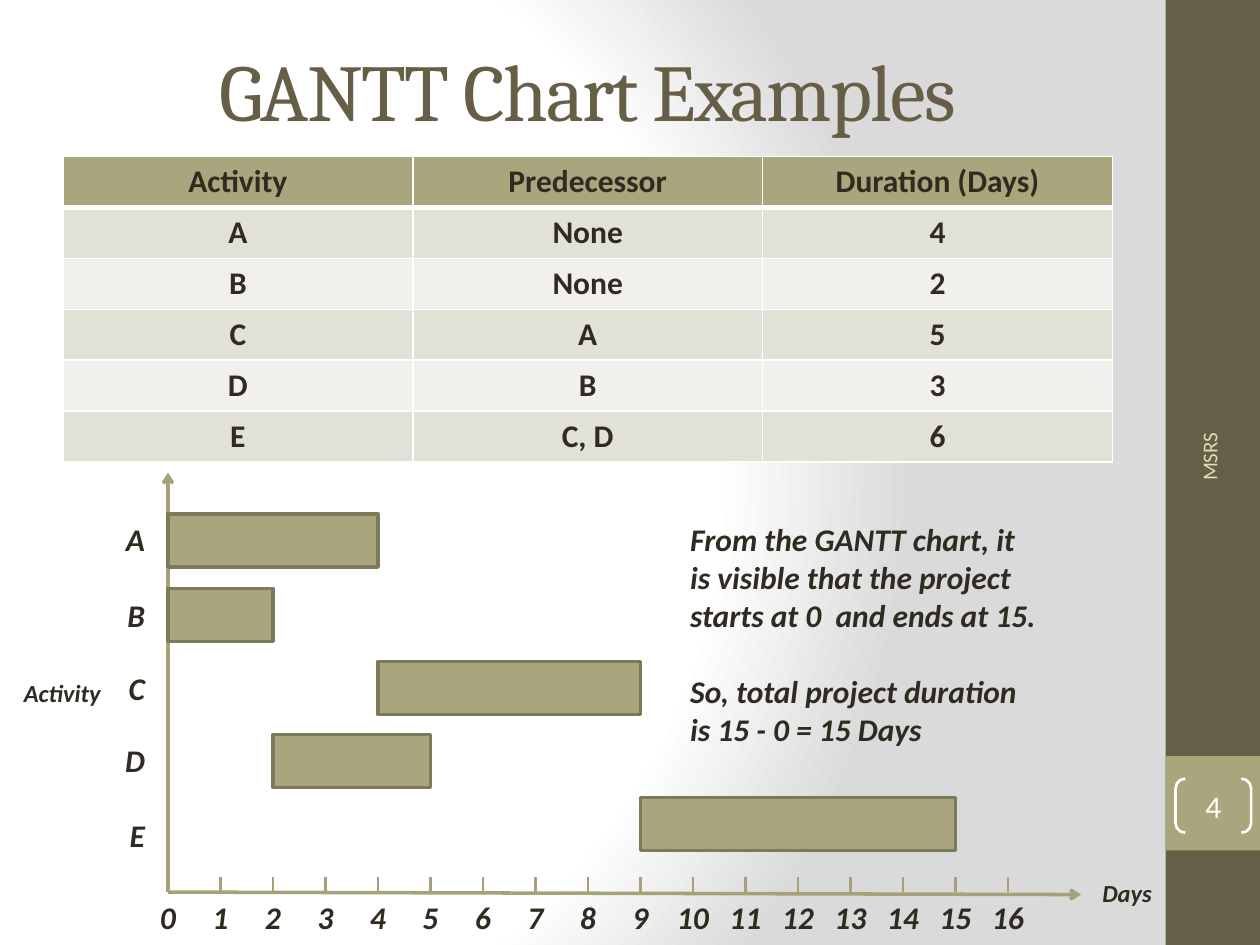
from dataclasses import dataclass

from lxml import etree
from pptx import Presentation
from pptx.dml.color import RGBColor
from pptx.enum.shapes import MSO_CONNECTOR, MSO_SHAPE
from pptx.enum.text import MSO_ANCHOR, PP_ALIGN
from pptx.oxml.ns import qn
from pptx.util import Inches, Pt

RECTANGLE, BRACKETS = MSO_SHAPE.RECTANGLE, MSO_SHAPE.DOUBLE_BRACKET
STRAIGHT = MSO_CONNECTOR.STRAIGHT
LEFT, CENTER, RIGHT = PP_ALIGN.LEFT, PP_ALIGN.CENTER, PP_ALIGN.RIGHT
TOP, MIDDLE = MSO_ANCHOR.TOP, MSO_ANCHOR.MIDDLE

BROWN, OLIVE, AXIS, BAR_EDGE = "675E47", "A9A57C", "A6A278", "7D7A5C"
INK, WHITE, CREAM = "2F2B20", "FFFFFF", "DFDCB7"
BANDS = ("E2E1D7", "F1F0EC")
ORIGIN_X, AXIS_Y = 4 / 3, 7.08
DAY_WIDTH = 5 / 12
LAST_DAY = 16


@dataclass
class Task:
    name: str
    predecessor: str
    start: int
    days: int
    bar_top: float
    label_top: float


TASKS = [
    Task("A", "None", 0, 4, 4.08, 4.08),
    Task("B", "None", 0, 2, 4.67, 4.68),
    Task("C", "A", 4, 5, 5.25, 5.26),
    Task("D", "B", 2, 3, 5.83, 5.83),
    Task("E", "C, D", 9, 6, 6.33, 6.43),
]


def color(value: str) -> RGBColor:
    return RGBColor.from_string(value)


def day_x(day: int) -> float:
    """Horizontal place of a day on the time axis, in inches."""
    return ORIGIN_X + day * DAY_WIDTH


def write(frame, text: str, *, size=18, ink=INK, font="Calibri", bold=False,
          italic=False, align=LEFT, anchor=TOP, gap=0, spacing=0) -> None:
    """Fill a text frame, one paragraph per line, with a gap in points between them."""
    frame.vertical_anchor = anchor
    for index, line in enumerate(text.split("\n")):
        para = frame.add_paragraph() if index else frame.paragraphs[0]
        para.alignment = align
        if index:
            para.space_before = Pt(gap)
        span = para.add_run()
        span.text = line
        span.font.name, span.font.size = font, Pt(size)
        span.font.bold, span.font.italic = bold, italic
        span.font.color.rgb = color(ink)
        if spacing:
            span.font._element.set("spc", str(spacing))


def add_text(page, text: str, left: float, top: float, width: float, height: float,
             *, wrap=True, rotation=0, **text_format):
    box = page.shapes.add_textbox(Inches(left), Inches(top), Inches(width), Inches(height))
    box.rotation = rotation
    box.text_frame.word_wrap = wrap
    write(box.text_frame, text, **text_format)
    return box


def add_label(page, text: str, left: float, top: float, width: float, **text_format):
    add_text(page, text, left, top, width, 0.4, wrap=False, bold=True, italic=True,
             **text_format)


def add_block(page, left: float, top: float, width: float, height: float, *,
              kind=RECTANGLE, fill=None, line=None, line_width=2.0):
    block = page.shapes.add_shape(kind, Inches(left), Inches(top),
                                  Inches(width), Inches(height))
    block.shadow.inherit = False
    if fill:
        block.fill.solid()
        block.fill.fore_color.rgb = color(fill)
    else:
        block.fill.background()
    if line:
        block.line.color.rgb = color(line)
        block.line.width = Pt(line_width)
    else:
        block.line.fill.background()
    return block


def add_line(page, x1: float, y1: float, x2: float, y2: float, *, width=1.5, arrow=False):
    line = page.shapes.add_connector(STRAIGHT, Inches(x1), Inches(y1), Inches(x2), Inches(y2))
    line.line.color.rgb = color(AXIS)
    line.line.width = Pt(width)
    if arrow:
        etree.SubElement(line.line._get_or_add_ln(), qn("a:tailEnd"), type="arrow")
    etree.SubElement(line._element.spPr, qn("a:effectLst"))


def set_background(page) -> None:
    """Circular gradient from white to grey."""
    page.background.fill.gradient()
    gradient = page._element.find(".//" + qn("a:gradFill"))
    for child in list(gradient):
        gradient.remove(child)
    stops = etree.SubElement(gradient, qn("a:gsLst"))
    for percent, value in ((0, WHITE), (75, WHITE), (100, "DADADA")):
        stop = etree.SubElement(stops, qn("a:gs"), pos=str(percent * 1000))
        etree.SubElement(stop, qn("a:srgbClr"), val=value)
    circle = etree.SubElement(gradient, qn("a:path"), path="circle")
    etree.SubElement(circle, qn("a:fillToRect"), l="20000", t="50000", r="100000", b="50000")


def style_cell(cell, fill: str, bottom: int) -> None:
    """Cell fill and white borders; bottom is the lower border in points."""
    cell.fill.solid()
    cell.fill.fore_color.rgb = color(fill)
    properties = cell._tc.get_or_add_tcPr()
    for index, side in enumerate(("lnL", "lnR", "lnT", "lnB")):
        width = bottom if side == "lnB" else 1
        border = etree.Element(qn(f"a:{side}"), w=str(Pt(width)))
        paint = etree.SubElement(border, qn("a:solidFill"))
        etree.SubElement(paint, qn("a:srgbClr"), val=WHITE)
        properties.insert(index, border)


def add_task_table(page) -> None:
    rows = [("Activity", "Predecessor", "Duration (Days)")]
    rows += [(task.name, task.predecessor, str(task.days)) for task in TASKS]
    table = page.shapes.add_table(len(rows), 3, Inches(0.5), Inches(1.24),
                                  Inches(8.33), Inches(2.43)).table
    for r, values in enumerate(rows):
        header = r == 0
        for c, value in enumerate(values):
            cell = table.cell(r, c)
            style_cell(cell, OLIVE if header else BANDS[(r - 1) % 2],
                       3 if header else 1)
            if r == 1:
                cell._tc.tcPr.find(qn("a:lnT")).set("w", str(Pt(3)))
            write(cell.text_frame, value, bold=True, align=CENTER)


def add_gantt(page) -> None:
    add_line(page, ORIGIN_X, AXIS_Y, 8.58, 7.1, width=2, arrow=True)
    add_line(page, ORIGIN_X, AXIS_Y, ORIGIN_X, 3.75, width=2, arrow=True)
    for day in range(LAST_DAY + 1):
        if day:
            add_line(page, day_x(day), 6.96, day_x(day), AXIS_Y)
        add_label(page, str(day), day_x(day) - 0.23, AXIS_Y, 0.46, align=CENTER)
    for task in TASKS:
        add_block(page, day_x(task.start), task.bar_top, task.days * DAY_WIDTH, 0.42,
                  fill=OLIVE, line=BAR_EDGE)
        add_label(page, task.name, 0.85, task.label_top, 0.4, align=RIGHT)
    add_label(page, "Activity", 0.09, 5.33, 0.82, size=14)
    add_label(page, "Days", 8.65, 6.92, 0.6, size=14)


def add_side_band(page) -> None:
    add_block(page, 9.25, 0, 0.75, 7.5, fill=BROWN)
    add_block(page, 9.25, 6, 0.75, 0.75, fill=OLIVE)
    add_text(page, "MSRS", 8.3, 4.43, 2.59, 0.4, rotation=270, size=12, ink=CREAM,
             align=RIGHT, anchor=MIDDLE)
    number = add_block(page, 9.33, 6.18, 0.6, 0.43, kind=BRACKETS, line=WHITE, line_width=1.5)
    number.adjustments[0] = 0.18
    frame = number.text_frame
    frame.margin_left = frame.margin_right = frame.margin_top = frame.margin_bottom = 0
    write(frame, "4", ink=WHITE, align=CENTER, anchor=MIDDLE)


def main() -> None:
    deck = Presentation()
    deck.slide_width, deck.slide_height = Inches(10), Inches(7.5)
    page = deck.slides.add_slide(deck.slide_layouts[6])
    set_background(page)
    add_side_band(page)
    add_text(page, "GANTT Chart Examples", 0.5, 0.08, 8.33, 1.25, size=46, ink=BROWN,
             font="Cambria", align=CENTER, anchor=MIDDLE, spacing=-100)
    add_task_table(page)
    add_gantt(page)
    add_text(page, "From the GANTT chart, it is visible that the project starts at 0  and "
             "ends at 15.\nSo, total project duration is 15 - 0 = 15 Days",
             5.38, 4.08, 2.96, 1.92, bold=True, italic=True, gap=22)
    deck.save("out.pptx")


if __name__ == "__main__":
    main()
